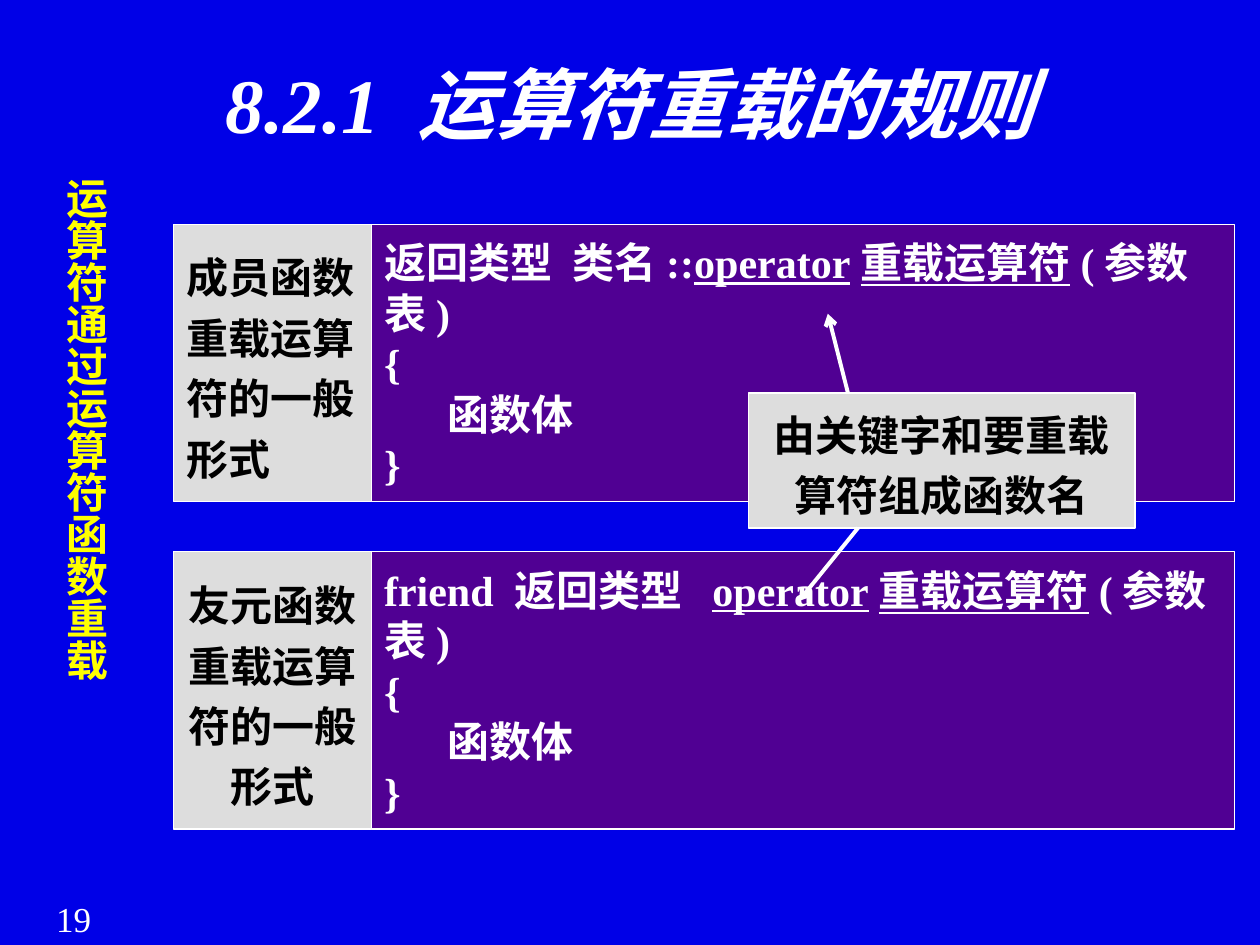
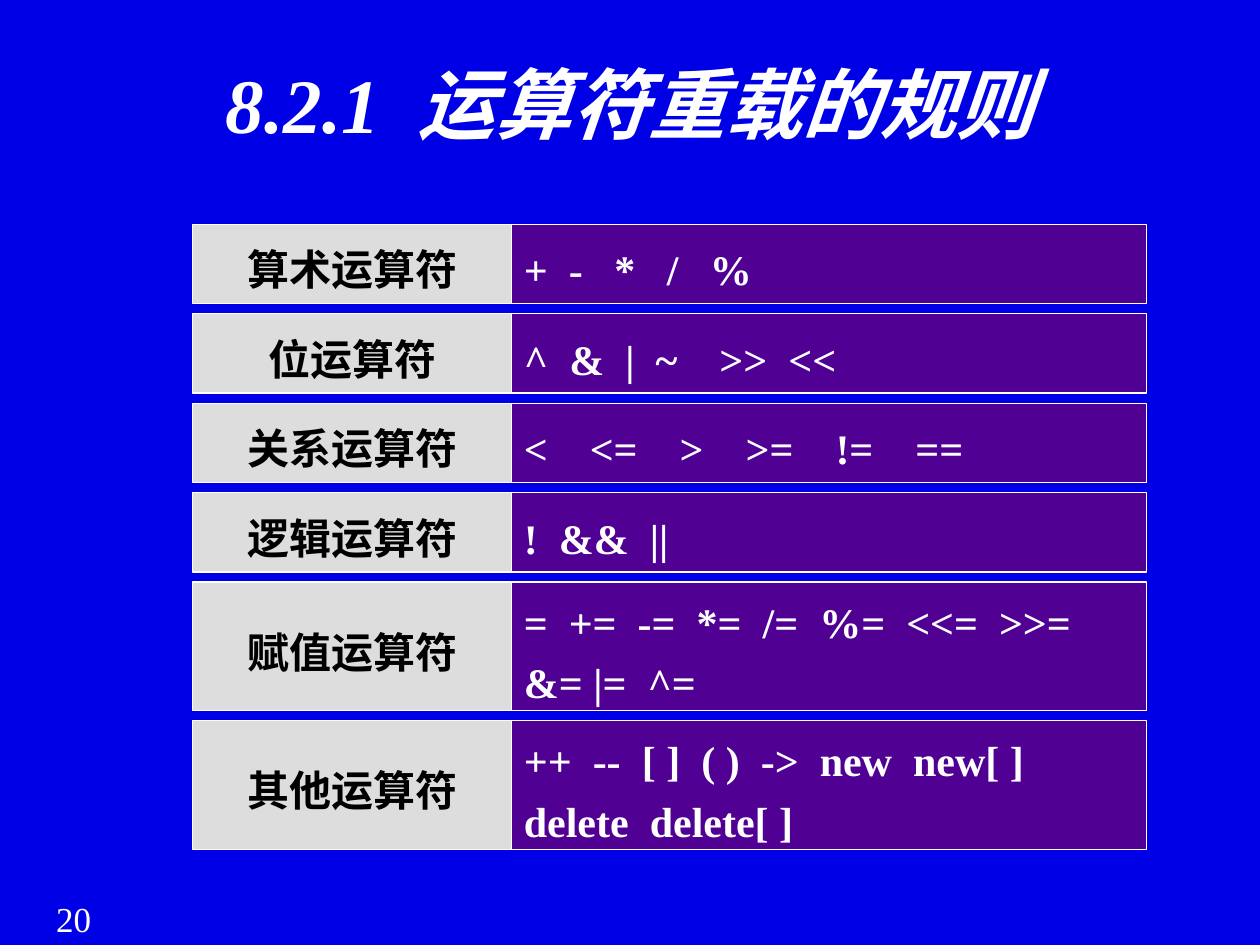
from lxml import etree
from pptx import Presentation
from pptx.dml.color import RGBColor
from pptx.enum import shapes, text
from pptx.oxml.ns import qn
from pptx.util import Inches, Pt

TITLE = "8.2.1 运算符重载的规则"
FIRST_NUMBER = 19
BLUE, GREY, PURPLE = "0000E7", "DDDDDD", "500093"
WHITE, BLACK, YELLOW = "FFFFFF", "000000", "FFFF00"
SERIF, SANS = "Times New Roman", "DejaVu Sans"
LEFT, CENTER = text.PP_ALIGN.LEFT, text.PP_ALIGN.CENTER
TOP, MIDDLE = text.MSO_ANCHOR.TOP, text.MSO_ANCHOR.MIDDLE
BODY_SIZE = 24
SPACE_POINTS = BODY_SIZE / 4  # width of one space in the serif font

# A line is a list of spans: text, an underlined (text,), or a gap in spaces.
FUNCTION_NAME = ("operator重载运算符",)
FUNCTION_BODY = [["{"], ["\t函数体"], ["}"]]
FORMS = [
    ("成员函数重载运算符的一般形式", LEFT,
     ["返回类型", 2, "类名::", FUNCTION_NAME, "(参数表)"]),
    ("友元函数重载运算符的一般形式", CENTER,
     ["friend 返回类型", 2, FUNCTION_NAME, "(参数表)"]),
]
FORMS_LEFT, FORMS_TOP, FORMS_STEP = 1.38, 1.78, 2.6
FORM_LABEL_WIDTH, FORM_CODE_WIDTH, FORM_HEIGHT = 1.57, 6.85, 2.2
SIDE_NOTE = "运算符通过运算符函数重载"
CALLOUT = "由关键字和要重载算符组成函数名"
CALLOUT_PLACE = (5.94, 3.12, 3.07, 1.07)
ARROWS = [(6.73, 3.12, 6.57, 2.49), (6.81, 4.19, 6.34, 4.77)]

OPERATORS = [
    ("算术运算符", 0.63, ["+", 2, "-", 3, "*", 3, "/", 3, "%"]),
    ("位运算符", 0.63, ["^", 2, "&", 2, "|", 2, "~", 4, ">>", 2, "<<"]),
    ("关系运算符", 0.63,
     ["<", 4, "<=", 4, ">", 4, ">=", 4, "!=", 4, "=="]),
    ("逻辑运算符", 0.63, ["!", 2, "&&", 2, "||"]),
    ("赋值运算符", 1.02,
     ["=", 2, "+=", 2, "-=", 2, "*=", 2, "/=", 2, "%=", 2, "<<=", 2,
      ">>=", 2, "&= |=", 2, "^="]),
    ("其他运算符", 1.02,
     ["++", 2, "--", 2, "[ ]", 2, "( )", 2, "->", 2, "new", 2, "new[ ]", 2,
      "delete", 2, "delete[ ]"]),
]
OPERATORS_LEFT, OPERATORS_TOP, ROW_GAP = 1.53, 1.78, 0.08
NAME_WIDTH, SYMBOLS_WIDTH = 2.53, 5.04


def rgb(value):
    return RGBColor.from_string(value)


def write(box, lines, color, size=BODY_SIZE, font=SERIF, align=LEFT,
          spacing=1.0, anchor=TOP, bold=True, italic=False):
    frame = box.text_frame
    frame.word_wrap = True
    frame.vertical_anchor = anchor
    for index, line in enumerate(lines):
        para = frame.add_paragraph() if index else frame.paragraphs[0]
        for name, value in {"alignment": align, "line_spacing": spacing,
                            "space_before": Pt(0)}.items():
            setattr(para, name, value)
        for item in line:
            span = para.add_run()
            style = {"name": font, "size": Pt(size), "bold": bold,
                     "italic": italic, "underline": isinstance(item, tuple)}
            for name, value in style.items():
                setattr(span.font, name, value)
            span.font.color.rgb = rgb(color)
            if isinstance(item, int):
                span.text = " "
                extra = (item - 1) * SPACE_POINTS
                span.font._element.set("spc", str(int(extra * 100)))
            else:
                span.text = item[0] if isinstance(item, tuple) else item


def add_text(page, place, content, color, **style):
    box = page.shapes.add_textbox(*map(Inches, place))
    write(box, [[content]], color, **style)
    return box


def add_panel(page, place, lines, fill, color, border=0.75, **style):
    box = page.shapes.add_shape(shapes.MSO_SHAPE.RECTANGLE,
                                *map(Inches, place))
    box.shadow.inherit = False
    box.fill.solid()
    box.fill.fore_color.rgb = rgb(fill)
    box.line.color.rgb = rgb(WHITE)
    box.line.width = Pt(border)
    write(box, lines, color, **style)


def add_arrow(page, ends):
    arrow = page.shapes.add_connector(shapes.MSO_CONNECTOR.STRAIGHT,
                                      *map(Inches, ends))
    arrow.line.color.rgb = rgb(WHITE)
    arrow.line.width = Pt(2.25)
    line = arrow.line._get_or_add_ln()
    etree.SubElement(line, qn("a:tailEnd"), type="arrow")
    etree.SubElement(arrow._element.spPr, qn("a:effectLst"))


def add_page(deck):
    """Add a slide with the shared background, title and number."""
    page = deck.slides.add_slide(deck.slide_layouts[6])
    page.background.fill.solid()
    page.background.fill.fore_color.rgb = rgb(BLUE)
    number = FIRST_NUMBER + len(deck.slides) - 1
    add_text(page, (0.17, 7.07, 0.83, 0.43), str(number), WHITE,
             size=20, bold=False, align=CENTER)
    add_text(page, (0.69, 0.4, 8.62, 1.45), TITLE, WHITE,
             size=44, italic=True, align=CENTER)
    return page


def build_forms(deck):
    page = add_page(deck)
    for index, (label, align, signature) in enumerate(FORMS):
        top = FORMS_TOP + index * FORMS_STEP
        add_panel(page, (FORMS_LEFT, top, FORM_LABEL_WIDTH, FORM_HEIGHT),
                  [[label]], GREY, BLACK, align=align, spacing=1.2,
                  anchor=MIDDLE)
        add_panel(page, (FORMS_LEFT + FORM_LABEL_WIDTH, top,
                         FORM_CODE_WIDTH, FORM_HEIGHT),
                  [signature] + FUNCTION_BODY, PURPLE, WHITE, anchor=MIDDLE)
    note = add_text(page, (0.34, 1.31, 0.48, 5.35), SIDE_NOTE, YELLOW,
                    font=SANS, spacing=0.7)
    note.text_frame._txBody.bodyPr.set("vert", "eaVert")
    add_panel(page, CALLOUT_PLACE, [[CALLOUT]], GREY, BLACK, border=1,
              font=SANS, align=CENTER, spacing=1.2)
    for ends in ARROWS:
        add_arrow(page, ends)


def build_operators(deck):
    page = add_page(deck)
    top = OPERATORS_TOP
    for name, height, symbols in OPERATORS:
        add_panel(page, (OPERATORS_LEFT, top, NAME_WIDTH, height),
                  [[name]], GREY, BLACK, align=CENTER, spacing=1.2,
                  anchor=MIDDLE)
        add_panel(page, (OPERATORS_LEFT + NAME_WIDTH, top,
                         SYMBOLS_WIDTH, height),
                  [symbols], PURPLE, WHITE, spacing=1.2, anchor=MIDDLE)
        top += height + ROW_GAP


def main():
    deck = Presentation()
    deck.slide_width, deck.slide_height = Inches(10), Inches(7.5)
    build_forms(deck)
    build_operators(deck)
    deck.save("out.pptx")


if __name__ == "__main__":
    main()
